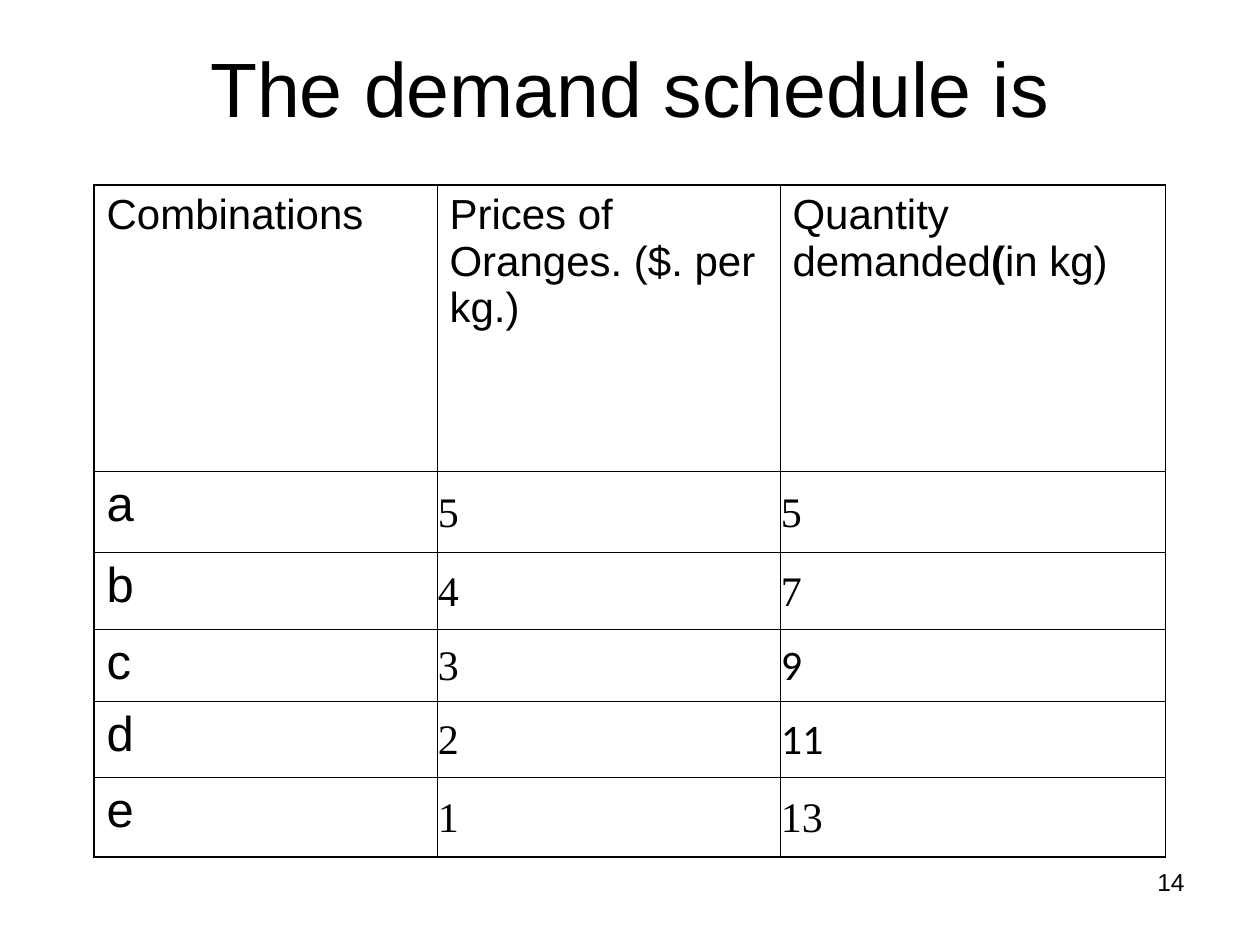
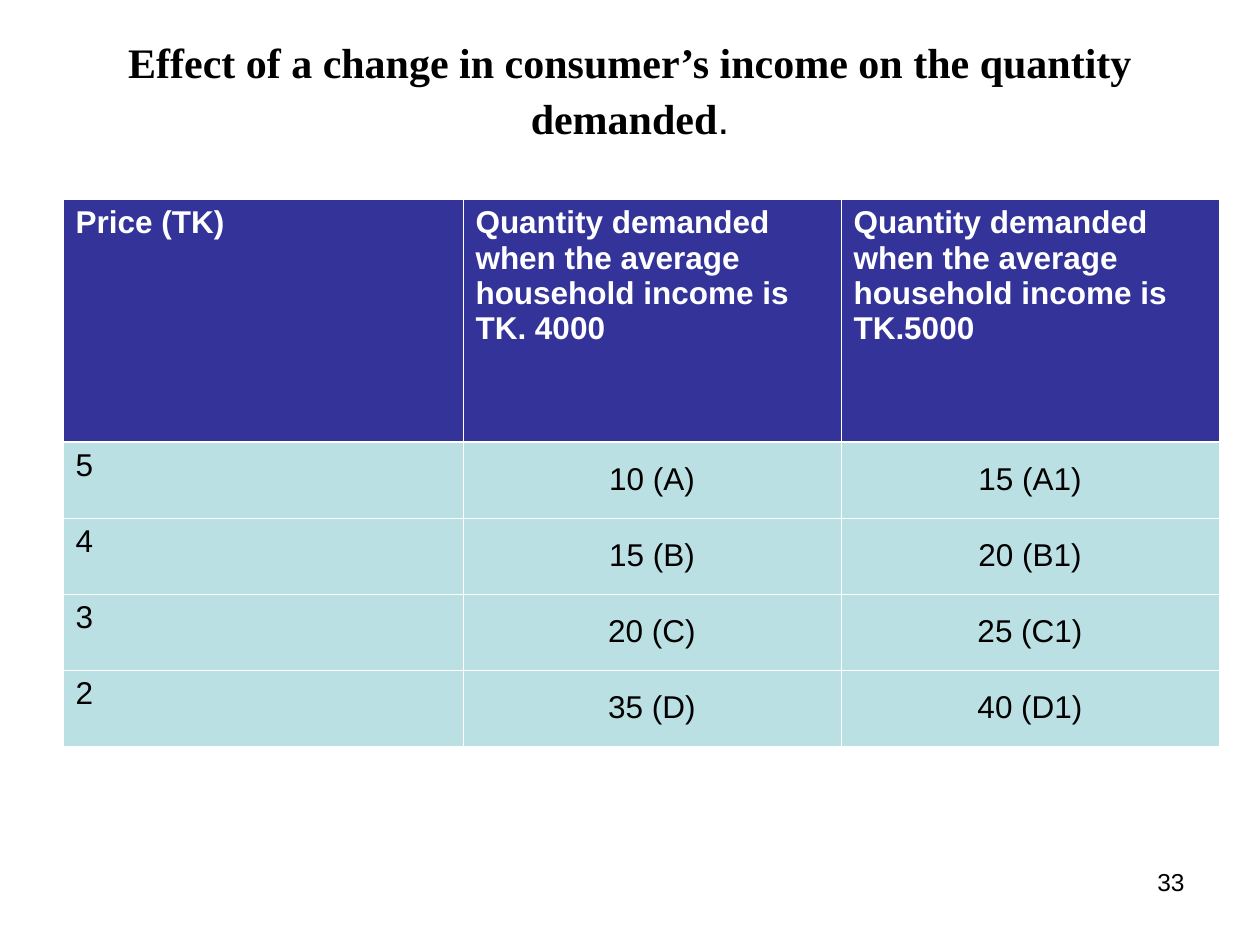
from lxml import etree
from pptx import Presentation
from pptx.dml.color import RGBColor
from pptx.enum.text import MSO_ANCHOR, MSO_AUTO_SIZE, PP_ALIGN
from pptx.oxml.ns import qn
from pptx.util import Pt

EMU_PER_PIXEL = 914400 / 126
LEFT, CENTER, RIGHT = PP_ALIGN.LEFT, PP_ALIGN.CENTER, PP_ALIGN.RIGHT
TOP, MIDDLE = MSO_ANCHOR.TOP, MSO_ANCHOR.MIDDLE
NO_AUTOFIT = MSO_AUTO_SIZE.NONE
BLACK, WHITE, NAVY, AQUA = "000000", "FFFFFF", "333399", "BBE0E3"
SANS, SERIF, HUMANIST = "Arial", "Times New Roman", "Calibri"
THIN, FRAME, HEADER_RULE = 0.45, 1.08, 1.47

DEMAND_ROWS = [
    ("Combinations", "Prices of Oranges. ($. per kg.)", "Quantity demanded"),
    ("a", "5", "5"),
    ("b", "4", "7"),
    ("c", "3", "9"),
    ("d", "2", "11"),
    ("e", "1", "13"),
]
INCOME_ROWS = [
    ("Price (TK)",
     "Quantity demanded when the average household income is TK. 4000",
     "Quantity demanded when the average household income is TK.5000"),
    ("5", "10 (A)", "15\u00a0(A1)"),
    ("4", "15\u00a0(B)", "20\u00a0(B1)"),
    ("3", "20\u00a0(C)", "25\u00a0(C1)"),
    ("2", "35\u00a0(D)", "40\u00a0(D1)"),
]


def px(length):
    """Turn pixels into EMU."""
    return round(length * EMU_PER_PIXEL)


def rgb(value):
    """Turn a hex string into a colour."""
    return RGBColor.from_string(value)


def style_run(run, size, font=SANS, color=BLACK, bold=False):
    """Format one run."""
    run.font.size = Pt(size)
    run.font.name = font
    run.font.bold = bold
    run.font.color.rgb = rgb(color)


def add_run(paragraph, text, size, **style):
    """Append a formatted run to a paragraph."""
    run = paragraph.add_run()
    run.text = text
    style_run(run, size, **style)


def add_titled_slide(deck, title, size, **style):
    """Add a title-only slide and return it with its title paragraph."""
    slide = deck.slides.add_slide(deck.slide_layouts[5])
    heading = slide.shapes.title
    heading.left, heading.top = px(63), px(38)
    heading.width, heading.height = px(1134), px(98)
    frame = heading.text_frame
    frame.text = title
    frame.auto_size = NO_AUTOFIT
    frame.vertical_anchor = MIDDLE
    paragraph = frame.paragraphs[0]
    paragraph.alignment = CENTER
    style_run(paragraph.runs[0], size, **style)
    return slide, paragraph


def add_page_number(slide, number):
    """Put the page number at the lower right."""
    box = slide.shapes.add_textbox(px(903), px(861), px(294), px(66))
    frame = box.text_frame
    frame.word_wrap = True
    frame.text = number
    frame.paragraphs[0].alignment = RIGHT
    style_run(frame.paragraphs[0].runs[0], 14)


def add_grid(slide, left, top, widths, heights):
    """Add an unstyled table with the given column and row sizes."""
    table = slide.shapes.add_table(
        len(heights), len(widths), px(left), px(top),
        px(sum(widths)), px(sum(heights))).table
    table.first_row = table.horz_banding = False
    for column, width in zip(table.columns, widths):
        column.width = px(width)
    for row, height in zip(table.rows, heights):
        row.height = px(height)
    return table


def set_borders(cell, color, left=THIN, right=THIN, top=THIN, bottom=THIN):
    """Draw the four borders of a cell."""
    properties = cell._tc.get_or_add_tcPr()
    sides = {"a:lnL": left, "a:lnR": right, "a:lnT": top, "a:lnB": bottom}
    for position, (side, width) in enumerate(sides.items()):
        line = etree.Element(qn(side), w=str(Pt(width)))
        fill = etree.SubElement(line, qn("a:solidFill"))
        etree.SubElement(fill, qn("a:srgbClr"), val=color)
        properties.insert(position, line)


def write_cell(cell, text, size, anchor=TOP, align=LEFT, **style):
    """Fill a cell with formatted text and return its paragraph."""
    cell.text = text
    cell.vertical_anchor = anchor
    paragraph = cell.text_frame.paragraphs[0]
    paragraph.alignment = align
    style_run(paragraph.runs[0], size, **style)
    return paragraph


def write_demand_cell(cell, text, row, column):
    """Write a header, a combination letter or a figure of the schedule."""
    if row == 0:
        paragraph = write_cell(cell, text, 24)
        paragraph.space_before = Pt(6)
    elif column == 0:
        paragraph = write_cell(cell, text, 28)
        paragraph.space_before = Pt(7)
    else:
        font = HUMANIST if text in ("9", "11") else SERIF
        paragraph = write_cell(cell, text, 24, MIDDLE, font=font)
        paragraph.line_spacing = 1.07
        cell.margin_left = cell.margin_right = px(1)


def build_demand_schedule(deck):
    """Build the slide with the demand schedule."""
    slide, _ = add_titled_slide(deck, "The demand schedule is", 44)
    add_page_number(slide, "14")
    table = add_grid(slide, 94, 185, [343, 343, 385],
                     [286, 81, 77, 72, 76, 80])
    last = len(DEMAND_ROWS) - 1
    for row, texts in enumerate(DEMAND_ROWS):
        for column, text in enumerate(texts):
            cell = table.cell(row, column)
            write_demand_cell(cell, text, row, column)
            cell.fill.background()
            set_borders(cell, BLACK,
                        left=FRAME if column == 0 else THIN,
                        top=FRAME if row == 0 else THIN,
                        bottom=FRAME if row == last else THIN)
    quantity = table.cell(0, 2).text_frame.paragraphs[0]
    add_run(quantity, "(", 24, bold=True)
    add_run(quantity, "in kg)", 24)


def build_income_effect(deck):
    """Build the slide on income and the quantity demanded."""
    slide, title = add_titled_slide(
        deck, "Effect of a change in consumer’s income on the quantity demanded",
        24, font=SERIF, bold=True)
    add_run(title, ".", 24)
    title.line_spacing = 1.1
    table = add_grid(slide, 63, 199, [400, 378, 378], [243] + [76] * 4)
    for row, texts in enumerate(INCOME_ROWS):
        header = row == 0
        for column, text in enumerate(texts):
            cell = table.cell(row, column)
            centred = not header and column > 0
            write_cell(cell, text, 18, MIDDLE if centred else TOP,
                       CENTER if centred else LEFT,
                       color=WHITE if header else BLACK, bold=header)
            cell.fill.solid()
            cell.fill.fore_color.rgb = rgb(NAVY if header else AQUA)
            set_borders(cell, WHITE,
                        top=HEADER_RULE if row == 1 else THIN,
                        bottom=HEADER_RULE if header else THIN)
    add_page_number(slide, "33")


def main():
    """Build and save the deck."""
    deck = Presentation()
    deck.slide_width, deck.slide_height = px(1260), px(945)
    build_demand_schedule(deck)
    build_income_effect(deck)
    deck.save("out.pptx")


main()
